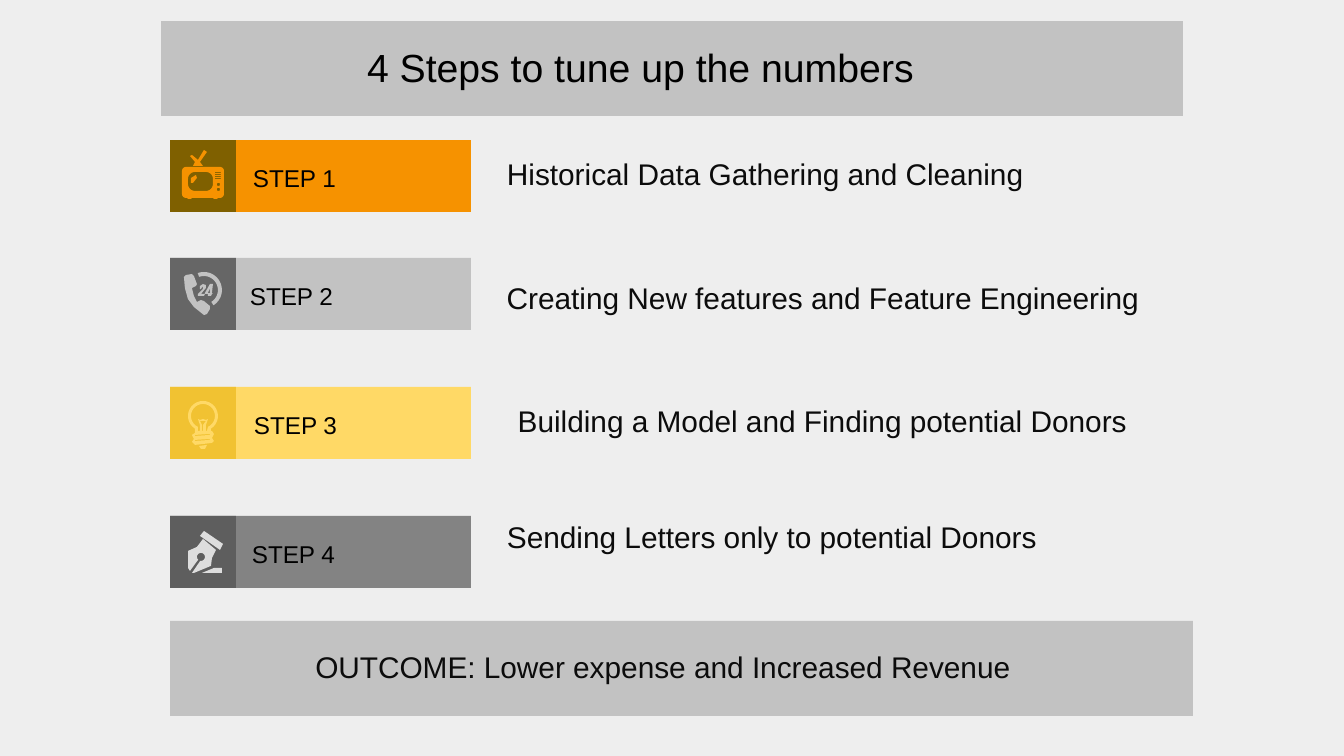
from math import cos, radians, sin

from pptx import Presentation
from pptx.dml.color import RGBColor
from pptx.enum.shapes import MSO_SHAPE
from pptx.enum.text import MSO_ANCHOR, PP_ALIGN
from pptx.util import Pt

RECTANGLE = MSO_SHAPE.RECTANGLE
TOP, MIDDLE = MSO_ANCHOR.TOP, MSO_ANCHOR.MIDDLE
LEFT, CENTER = PP_ALIGN.LEFT, PP_ALIGN.CENTER
SCALE = 914400 / 134.4
COLORS = {
    "background": "EEEEEE", "panel": "C2C2C2", "black": "000000", "ink": "0C0C0C",
    "orange": "F69200", "brown": "7F6000", "slate": "666666", "yellow": "FFD966",
    "gold": "F1C232", "gray": "838383", "charcoal": "5E5E5E", "pale": "DDDDDD",
}
FORMATS = {
    "title": {"size": Pt(21), "name": "Arial", "bold": False},
    "step": {"size": Pt(13), "name": "Arial"},
    "description": {"size": Pt(16), "name": "Arial"},
}


def emu(pixels):
    return round(pixels * SCALE)


def arc(x, y, radius, start, end, steps=24):
    angles = [radians(start + (end - start) * i / steps) for i in range(steps + 1)]
    return [(x + radius * cos(angle), y + radius * sin(angle)) for angle in angles]


def rounded(x, y, width, height, radius):
    right, bottom = x + width - radius, y + height - radius
    left, top = x + radius, y + radius
    corners = [(left, top), (right, top), (right, bottom), (left, bottom)]
    return [point for i, (cx, cy) in enumerate(corners)
            for point in arc(cx, cy, radius, 180 + 90 * i, 270 + 90 * i, 6)]


TELEVISION = [
    rounded(182, 167, 42, 31, 4),
    rounded(188, 172, 25, 19, 7),
    [(192, 155), (198, 160), (204, 150), (207, 152), (200, 162), (203, 166),
     (193, 166), (195, 162), (190, 156)],
    [(196, 175), (191, 178), (191, 183), (193, 183), (197, 178)],
    *[[(x, 198), (x + 5, 198), (x + 4, 199), (x + 1, 199)] for x in (187, 213)],
    *[[(215, y), (221, y), (221, y + 1), (215, y + 1)] for y in range(172, 180, 2)],
    *[rounded(217, y, 3, 3, 1) for y in (183, 188)],
]
TELEPHONE = [
    [(207, 314), (210, 309), (210, 306), (204, 301), (201, 300), (197, 302),
     (194, 296), (192, 288), (196, 286), (197, 284), (194, 276), (192, 274),
     (186, 275), (184, 277), (185, 288), (188, 299), (194, 307), (204, 315)],
    [(204, 296), (198, 296), (198, 294), (203, 289), (203, 286), (201, 289),
     (200, 289), (200, 286), (203, 284), (206, 285), (206, 288), (201, 294), (205, 294)],
    [(212, 294), (211, 296), (208, 296), (208, 294), (205, 294), (205, 293),
     (210, 284), (213, 284), (212, 293), (213, 293)],
    [(210, 293), (208, 293), (210, 288)],
    arc(204, 290, 18, -110, 58) + arc(204, 290, 14, 58, -110),
]
BULB = [
    arc(203, 416, 15, 122, 418)
    + [(211, 431), (212, 431), (214, 434), (212, 438), (214, 441), (212, 443),
       (195, 445), (192, 442), (194, 439), (192, 435), (195, 433), (195, 430)],
    arc(203, 416, 12, 115, 425)
    + [(207, 431), (206, 431), (206, 425), (208, 419), (206, 420), (203, 419),
       (200, 420), (198, 419), (200, 425), (200, 431), (198, 431)],
    [(206, 421), (200, 421), (202, 425), (202, 431), (203, 431), (203, 425)],
    [(207, 445), (199, 446), (201, 449), (205, 449)],
    *[[(210, y), (195, y + 1), (195, y + 2), (210, y + 1)] for y in (434, 439)],
]
PEN = [
    [(190, 571), (188, 568), (188, 551), (197, 547), (203, 539), (216, 550),
     (212, 558), (211, 566), (194, 573), (192, 573)] + arc(201, 557, 4, 100, -225),
    [(202, 573), (222, 573), (222, 568), (214, 568)],
    [(220, 550), (223, 544), (204, 531), (200, 536)],
]


class Board:
    def __init__(self, page):
        self.page = page
        page.background.fill.solid()
        page.background.fill.fore_color.rgb = self.color("background")

    def color(self, name):
        return RGBColor.from_string(COLORS[name])

    def paint(self, shape, fill):
        shape.fill.solid()
        shape.fill.fore_color.rgb = self.color(fill)
        shape.line.fill.background()
        shape.shadow.inherit = False

    def panel(self, area, fill):
        box = self.page.shapes.add_shape(RECTANGLE, *map(emu, area))
        self.paint(box, fill)

    def set_words(self, box, words, style, color, align=LEFT, anchor=TOP):
        frame = box.text_frame
        frame.word_wrap = True
        frame.vertical_anchor = anchor
        for side in ("left", "top", "right", "bottom"):
            setattr(frame, f"margin_{side}", emu(7))
        para = frame.paragraphs[0]
        para.alignment = align
        span = para.add_run()
        span.text = words
        for key, value in FORMATS[style].items():
            setattr(span.font, key, value)
        span.font.color.rgb = self.color(color)

    def title(self, area, words):
        box = self.page.shapes.title
        box.left, box.top, box.width, box.height = map(emu, area)
        box.element.getparent().append(box.element)
        self.set_words(box, words, "title", "black", anchor=MIDDLE)

    def text(self, area, words, style, color, align=LEFT, anchor=TOP):
        box = self.page.shapes.add_textbox(*map(emu, area))
        self.set_words(box, words, style, color, align, anchor)

    def icon(self, contours, fill):
        builder = None
        for contour in contours:
            points = [(emu(x), emu(y)) for x, y in contour]
            if builder is None:
                builder = self.page.shapes.build_freeform(*points[0], scale=1.0)
            else:
                builder.move_to(*points[0])
            builder.add_line_segments(points[1:], close=True)
        self.paint(builder.convert_to_shape(), fill)


STEPS = [
    (140, 246, "orange", "brown", TELEVISION, "orange"),
    (258, 243, "panel", "slate", TELEPHONE, "panel"),
    (387, 247, "yellow", "gold", BULB, "yellow"),
    (516, 245, "gray", "charcoal", PEN, "pale"),
]
DESCRIPTIONS = [
    ((500, 149, 602, 71), "Historical Data Gathering and Cleaning", LEFT),
    ((425, 273, 796, 71), "Creating New features and Feature Engineering", CENTER),
    ((452, 396, 741, 86), "Building a Model and Finding potential Donors", CENTER),
    ((500, 512, 626, 86), "Sending Letters only to potential Donors", LEFT),
]


def main():
    deck = Presentation()
    deck.slide_width, deck.slide_height = emu(1344), emu(756)
    board = Board(deck.slides.add_slide(deck.slide_layouts[5]))
    for number, (top, label_left, bar, tile, icon, icon_fill) in enumerate(STEPS, 1):
        board.panel((170, top, 301, 72), bar)
        board.panel((170, top, 66, 72), tile)
        board.icon(icon, icon_fill)
        board.text((label_left, top + 16, 211, 43), f"STEP {number}", "step", "black",
                   anchor=MIDDLE)
    for area, words, align in DESCRIPTIONS:
        board.text(area, words, "description", "ink", align)
    board.panel((170, 621, 1023, 95), "panel")
    board.text((265, 642, 796, 86), "OUTCOME: Lower expense and Increased Revenue",
               "description", "ink", CENTER)
    board.panel((161, 21, 1022, 95), "panel")
    board.title((360, 38, 796, 58), "4 Steps to tune up the numbers")
    deck.save("out.pptx")


if __name__ == "__main__":
    main()
